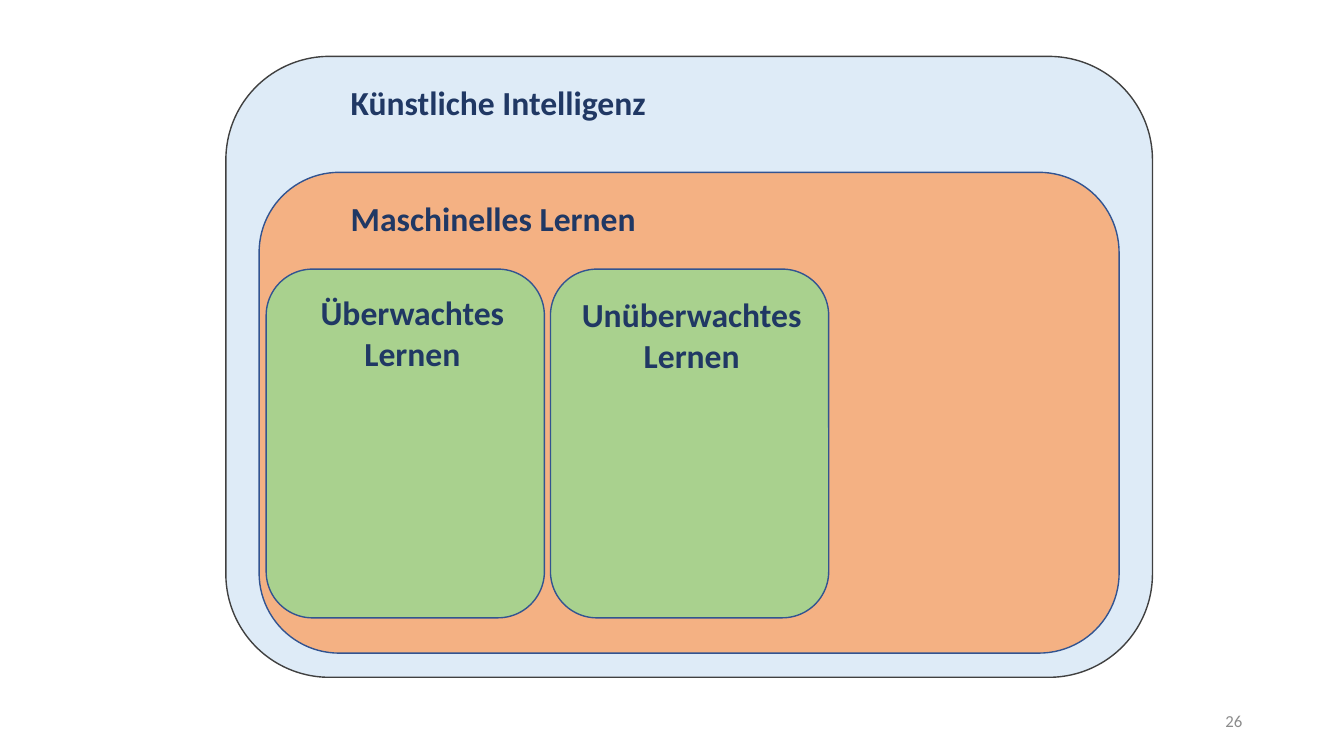
"""Build a slide of nested sets: artificial intelligence, machine learning and its kinds."""
from pptx import Presentation
from pptx import util as u
from pptx.dml.color import RGBColor
from pptx.enum import shapes, text

PX = 9144
COLORS = {
    "ai": "DEEBF7", "ml": "F4B183", "kind": "A9D18E",
    "outer": "404040", "inner": "325491",
    "label": "203864", "number": "8C8C8C",
}
LABEL = {"size": u.Pt(24), "bold": True, "name": "Calibri"}
NUMBER = {"size": u.Pt(12), "bold": False, "name": "Calibri"}
LEFT, CENTER, RIGHT = text.PP_ALIGN.LEFT, text.PP_ALIGN.CENTER, text.PP_ALIGN.RIGHT
TOP, MIDDLE = text.MSO_ANCHOR.TOP, text.MSO_ANCHOR.MIDDLE

prs = Presentation()
prs.slide_width, prs.slide_height = 1333 * PX, 750 * PX
s = prs.slides.add_slide(prs.slide_layouts[6])


def add_set(box, fill, line):
    sp = s.shapes.add_shape(shapes.MSO_SHAPE.ROUNDED_RECTANGLE, *(v * PX for v in box))
    sp.shadow.inherit = False
    sp.fill.solid()
    sp.fill.fore_color.rgb = RGBColor.from_string(COLORS[fill])
    sp.line.color.rgb = RGBColor.from_string(COLORS[line])
    sp.line.width = u.Pt(1)


def add_label(box, words, align, anchor=TOP, font=LABEL, color="label"):
    tf = s.shapes.add_textbox(*(v * PX for v in box)).text_frame
    tf.word_wrap = True
    tf.vertical_anchor = anchor
    p = tf.paragraphs[0]
    p.alignment = align
    r = p.add_run()
    r.text = words
    for key, value in font.items():
        setattr(r.font, key, value)
    r.font.color.rgb = RGBColor.from_string(COLORS[color])


add_set((224, 56, 919, 616), "ai", "outer")
add_label((338, 76, 413, 50), "Künstliche Intelligenz", LEFT)
add_set((257, 171, 853, 477), "ml", "inner")
add_label((338, 191, 413, 50), "Maschinelles Lernen", LEFT)

kinds = [
    ("Überwachtes Lernen", (280, 285, 258, 91)),
    ("Unüberwachtes Lernen", (542, 287, 288, 91)),
]
for i, (name, box) in enumerate(kinds):
    add_set((264 + i * 282, 267, 276, 346), "kind", "inner")
    add_label(box, name, CENTER)

add_label((942, 695, 300, 40), "26", RIGHT, MIDDLE, NUMBER, "number")

prs.save("out.pptx")
